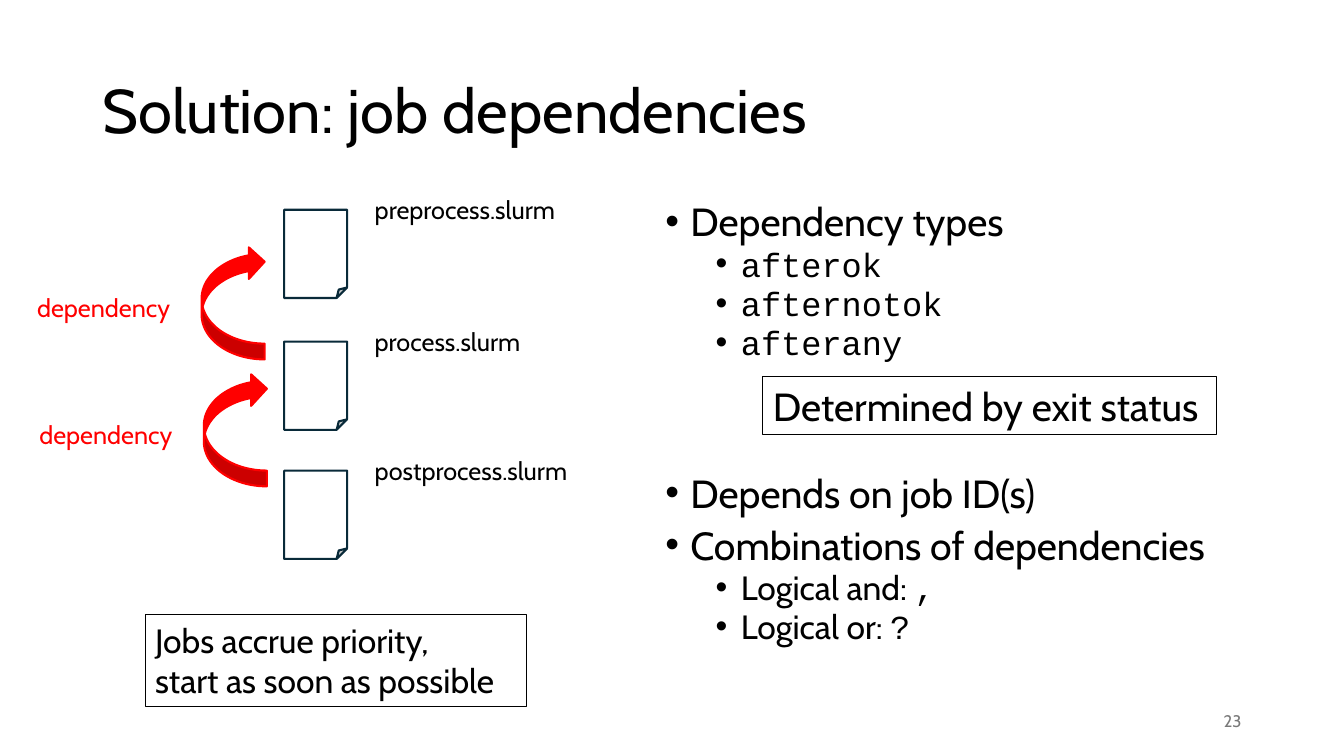
from lxml import etree
from pptx import Presentation
from pptx.dml.color import RGBColor
from pptx.enum.shapes import MSO_SHAPE
from pptx.enum.text import MSO_ANCHOR, MSO_AUTO_SIZE, PP_ALIGN
from pptx.oxml.ns import qn
from pptx.util import Pt

BLACK = RGBColor(0x00, 0x00, 0x00)
WHITE = RGBColor(0xFF, 0xFF, 0xFF)
RED = RGBColor(0xFF, 0x00, 0x00)
NAVY = RGBColor(0x09, 0x2A, 0x39)
GREY = RGBColor(0x79, 0x79, 0x79)
SANS, MONO = "Cabin", "Courier New"

FOLDED_CORNER = MSO_SHAPE.FOLDED_CORNER
CURVED_ARROW = MSO_SHAPE.CURVED_LEFT_ARROW
RECTANGLE = MSO_SHAPE.RECTANGLE
TOP, MIDDLE = MSO_ANCHOR.TOP, MSO_ANCHOR.MIDDLE
LEFT, RIGHT = PP_ALIGN.LEFT, PP_ALIGN.RIGHT
FIT_SHAPE, NO_FIT = MSO_AUTO_SIZE.SHAPE_TO_FIT_TEXT, MSO_AUTO_SIZE.NONE


def write(paragraph, text, size=18, font=SANS, color=BLACK, align=LEFT):
    paragraph.alignment = align
    for number, line in enumerate(text.split("\n")):
        if number:
            paragraph.add_line_break()
        run = paragraph.add_run()
        run.text = line
        run.font.size = Pt(size)
        run.font.name = font
        run.font.color.rgb = color


class SlideBuilder:
    list_sizes = (28, 24)
    list_indents = (18, 54)
    list_gaps = (10, 5)

    def __init__(self, slide):
        self.slide = slide

    def place(self, item, left, top, width, height):
        item.left, item.top = Pt(left), Pt(top)
        item.width, item.height = Pt(width), Pt(height)

    def title(self, text, *bounds):
        heading = self.slide.shapes.title
        self.place(heading, *bounds)
        frame = heading.text_frame
        frame.auto_size = NO_FIT
        frame.vertical_anchor = MIDDLE
        frame.paragraphs[0].line_spacing = 0.9
        write(frame.paragraphs[0], text, size=44)

    def bullets(self, items, *bounds):
        body = self.slide.placeholders[1]
        self.place(body, *bounds)
        frame = body.text_frame
        frame.auto_size = NO_FIT
        for number, (level, extra_gap, pieces) in enumerate(items):
            paragraph = frame.add_paragraph() if number else frame.paragraphs[0]
            paragraph.level = level
            paragraph.line_spacing = 0.8
            paragraph.space_before = Pt(self.list_gaps[level] + extra_gap if number else 0)
            properties = paragraph._p.get_or_add_pPr()
            properties.set("marL", str(Pt(self.list_indents[level])))
            properties.set("indent", str(-Pt(18)))
            etree.SubElement(properties, qn("a:buFont")).set("typeface", "Arial")
            etree.SubElement(properties, qn("a:buChar")).set("char", "•")
            for text, font in pieces:
                write(paragraph, text, size=self.list_sizes[level], font=font)

    def shape(self, kind, *bounds, fill=None, line=BLACK, line_width=0.75):
        drawn = self.slide.shapes.add_shape(kind, *map(Pt, bounds))
        drawn.shadow.inherit = False
        if fill is None:
            drawn.fill.background()
        else:
            drawn.fill.solid()
            drawn.fill.fore_color.rgb = fill
        drawn.line.color.rgb = line
        drawn.line.width = Pt(line_width)
        return drawn

    def label(self, text, *bounds, **style):
        frame = self.slide.shapes.add_textbox(*map(Pt, bounds)).text_frame
        frame.word_wrap = False
        frame.auto_size = FIT_SHAPE
        write(frame.paragraphs[0], text, **style)

    def page_number(self, text, *bounds):
        frame = self.slide.shapes.add_textbox(*map(Pt, bounds)).text_frame
        frame.word_wrap = True
        frame.vertical_anchor = MIDDLE
        write(frame.paragraphs[0], text, size=12, color=GREY, align=RIGHT)

    def callout(self, text, size, *bounds):
        frame = self.shape(RECTANGLE, *bounds).text_frame
        frame.word_wrap = False
        frame.auto_size = FIT_SHAPE
        frame.vertical_anchor = TOP
        write(frame.paragraphs[0], text, size=size)

    def job(self, script_name, top, name_width):
        self.shape(FOLDED_CORNER, 203, top, 45, 63, fill=WHITE, line=NAVY, line_width=1.5)
        self.label(script_name, 260.6, top - 14.4, name_width, 29)

    def dependency(self, left, top):
        arrow = self.shape(CURVED_ARROW, left, top, 45, 81, fill=RED, line=RED, line_width=1.5)
        arrow.rotation = 180
        self.label("dependency", left - 124.6, top + 29.5, 111.6, 29, color=RED)


def main():
    presentation = Presentation()
    presentation.slide_width, presentation.slide_height = Pt(960), Pt(540)
    builder = SlideBuilder(presentation.slides.add_slide(presentation.slide_layouts[1]))

    builder.title("Solution: job dependencies", 66, 28.8, 828, 104.4)
    builder.bullets(
        [
            (0, 0, [("Dependency types", SANS)]),
            (1, 0, [("afterok", MONO)]),
            (1, 0, [("afternotok", MONO)]),
            (1, 0, [("afterany", MONO)]),
            (0, 73, [("Depends on job ID(s)", SANS)]),
            (0, 0, [("Combinations of dependencies", SANS)]),
            (1, 0, [("Logical and: ", SANS), (",", MONO)]),
            (1, 0, [("Logical or: ", SANS), ("?", MONO)]),
        ],
        468, 144, 426, 342.7,
    )
    builder.page_number("23", 678, 500.5, 216, 28.8)

    for script_name, top, name_width in (
        ("preprocess.slurm", 149.8, 152.6),
        ("process.slurm", 244, 127.4),
        ("postprocess.slurm", 336.2, 162),
    ):
        builder.job(script_name, top, name_width)

    for left, top in ((144, 175.7), (145.6, 266.4)):
        builder.dependency(left, top)

    builder.callout("Determined by exit status", 28, 545, 269.3, 324, 41)
    builder.callout("Jobs accrue priority,\nstart as soon as possible", 24, 103.7, 439.2, 272.2, 65.5)

    presentation.save("out.pptx")


if __name__ == "__main__":
    main()
